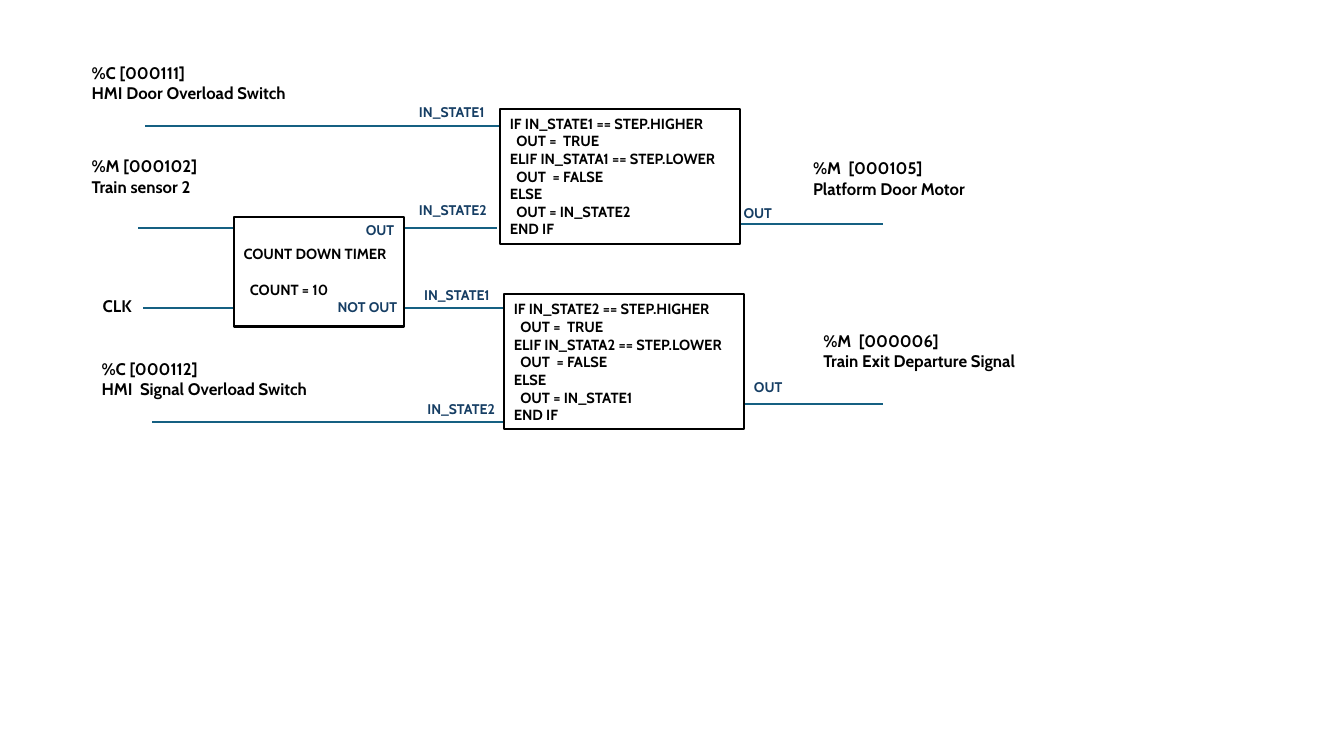
from lxml.etree import SubElement
from pptx import Presentation
from pptx.dml.color import RGBColor
from pptx.enum.shapes import MSO_CONNECTOR, MSO_SHAPE
from pptx.enum.text import MSO_ANCHOR, PP_ALIGN
from pptx.oxml.ns import qn
from pptx.util import Cm, Pt

BLACK = RGBColor(0x00, 0x00, 0x00)
WHITE = RGBColor(0xFF, 0xFF, 0xFF)
NAVY = RGBColor(0x16, 0x3E, 0x64)
TEAL = RGBColor(0x15, 0x60, 0x82)

LOGIC_WIDTH, LOGIC_HEIGHT = 6.05, 3.4
LOGIC_BLOCKS = [
    (12.6, 2.74, "1", "2"),
    (12.7, 7.42, "2", "1"),
]
LOGIC_CODE = [
    "IF IN_STATE{tested} == STEP.HIGHER",
    "  OUT =  TRUE",
    "ELIF IN_STATA{tested} == STEP.LOWER",
    "  OUT  = FALSE",
    "ELSE",
    "  OUT = IN_STATE{passed}",
    "END IF",
]

TIMER_PLACE = (5.89, 5.46, 4.29, 2.77)
TIMER_TEXT = ["COUNT DOWN TIMER", "COUNT = 10"]

WIRES = [
    (3.48, 12.52, 5.74),
    (3.66, 12.6, 3.18),
    (18.62, 22.25, 5.64),
    (18.75, 22.25, 10.19),
    (3.84, 12.78, 10.64),
    (10.13, 12.78, 7.75),
    (3.61, 5.89, 7.75),
]

SIGNALS = [
    (2.06, 1.45, 6.22, ["%C [000111]", "HMI Door Overload Switch"]),
    (2.06, 3.81, 3.38, ["%M [000102]", "Train sensor 2"]),
    (2.34, 7.32, 1.47, ["CLK"]),
    (2.31, 8.92, 5.94, ["%C [000112]", "HMI  Signal Overload Switch"]),
    (20.24, 3.86, 5.13, ["%M  [000105]", "Platform Door Motor"]),
    (20.5, 8.2, 5.69, ["%M  [000006]", "Train Exit Departure Signal"]),
]
PINS = [
    (10.31, 2.49, 2.26, ["IN_STATE1"]),
    (10.31, 4.95, 2.26, ["IN_STATE2"]),
    (10.44, 7.09, 2.26, ["IN_STATE1"]),
    (10.52, 9.96, 2.26, ["IN_STATE2"]),
    (18.49, 5.03, 1.3, ["OUT"]),
    (18.75, 9.42, 1.3, ["OUT"]),
    (8.97, 5.46, 1.3, ["OUT"]),
    (8.26, 7.39, 2.44, ["NOT OUT"]),
]

SIGNAL_HEIGHT, PIN_HEIGHT = 1.27, 0.69
SIGNAL_FORMAT = {"name": "Cabin", "size": Pt(12), "bold": True}
CODE_FORMAT = {"name": "Cabin", "size": Pt(10.5), "bold": True}
PIN_FORMAT = {"name": "Cabin", "size": Pt(10), "bold": True}


def write_lines(box, lines, text_format, color):
    """Fill a box with one left-aligned paragraph per line."""
    frame = box.text_frame
    frame.word_wrap = True
    for number, line in enumerate(lines):
        para = frame.add_paragraph() if number else frame.paragraphs[0]
        para.alignment = PP_ALIGN.LEFT
        span = para.add_run()
        span.text = line
        for name, value in text_format.items():
            setattr(span.font, name, value)
        span.font.color.rgb = color
    return frame


def add_wire(page, start, end, height):
    """Draw one horizontal signal wire."""
    wire = page.shapes.add_connector(
        MSO_CONNECTOR.STRAIGHT, Cm(start), Cm(height), Cm(end), Cm(height))
    wire.line.color.rgb = TEAL
    wire.line.width = Pt(1.5)
    SubElement(wire._element.spPr, qn("a:effectLst"))


def add_block(page, place, lines):
    """Draw one outlined function block with its text."""
    block = page.shapes.add_shape(MSO_SHAPE.RECTANGLE, *map(Cm, place))
    block.shadow.inherit = False
    block.fill.solid()
    block.fill.fore_color.rgb = WHITE
    block.line.color.rgb = BLACK
    block.line.width = Pt(1.5)
    frame = write_lines(block, lines, CODE_FORMAT, BLACK)
    frame.vertical_anchor = MSO_ANCHOR.MIDDLE
    return frame


def add_labels(page, labels, height, text_format, color):
    """Place a group of labels that share height and format."""
    for left, top, width, lines in labels:
        label = page.shapes.add_textbox(*map(Cm, (left, top, width, height)))
        write_lines(label, lines, text_format, color)


def main():
    """Build the function block diagram slide."""
    deck = Presentation()
    deck.slide_width, deck.slide_height = Cm(33.87), Cm(19.05)
    page = deck.slides.add_slide(deck.slide_layouts[6])

    for wire in WIRES:
        add_wire(page, *wire)

    for left, top, tested, passed in LOGIC_BLOCKS:
        code = [line.format(tested=tested, passed=passed) for line in LOGIC_CODE]
        add_block(page, (left, top, LOGIC_WIDTH, LOGIC_HEIGHT), code)

    count = add_block(page, TIMER_PLACE, TIMER_TEXT).paragraphs[1]
    count.space_before = Pt(12.6)
    count._p.get_or_add_pPr().set("marL", str(Cm(0.16)))

    add_labels(page, SIGNALS, SIGNAL_HEIGHT, SIGNAL_FORMAT, BLACK)
    add_labels(page, PINS, PIN_HEIGHT, PIN_FORMAT, NAVY)
    deck.save("out.pptx")


if __name__ == "__main__":
    main()
